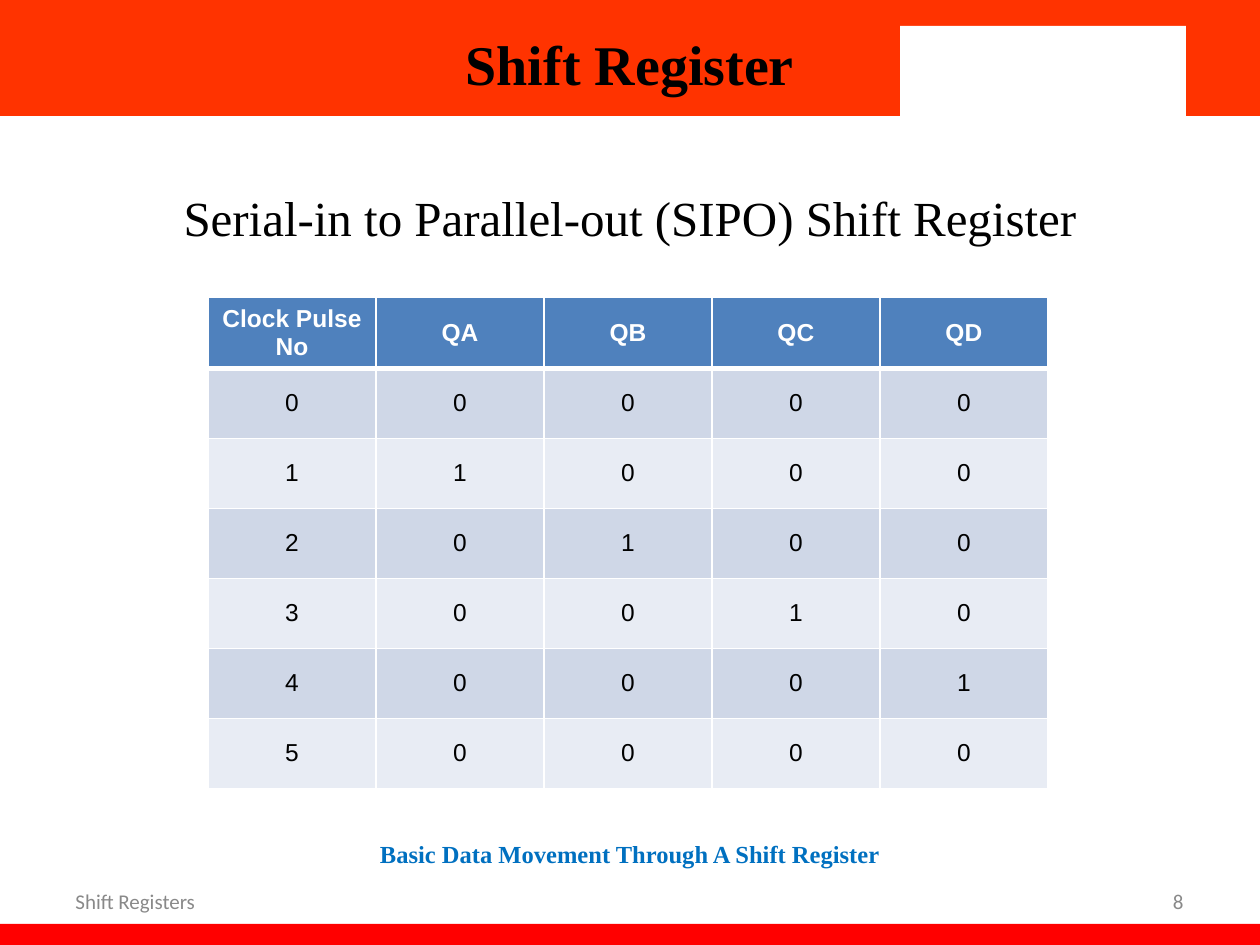
from dataclasses import dataclass

from lxml import etree
from pptx import Presentation
from pptx.dml.color import RGBColor
from pptx.enum.shapes import MSO_SHAPE
from pptx.enum.text import MSO_ANCHOR, PP_ALIGN
from pptx.oxml.ns import qn
from pptx.util import Emu, Pt

RECT = MSO_SHAPE.RECTANGLE
TOP, MID = MSO_ANCHOR.TOP, MSO_ANCHOR.MIDDLE
LEFT, MID_COL, RIGHT = PP_ALIGN.LEFT, PP_ALIGN.CENTER, PP_ALIGN.RIGHT
SCALE = 914400 / 126
WIDTH, HEIGHT = 1260, 945


@dataclass(frozen=True)
class Theme:
    band: str = "FF3300"
    base: str = "FF0000"
    white: str = "FFFFFF"
    ink: str = "000000"
    grey: str = "898989"
    blue: str = "0070C0"
    head: str = "4F81BD"
    odd: str = "CFD7E7"
    even: str = "E8ECF4"
    serif: str = "Times New Roman"
    sans: str = "Arial"
    foot: str = "Calibri"
    title: int = 32
    lead: int = 28
    body: int = 14
    small: int = 12


def px(num):
    return Emu(round(num * SCALE))


def write(frame, text, *, font, size, color, bold=False, align=MID_COL, space=None):
    para = frame.paragraphs[0]
    para.alignment = align
    para.line_spacing = space
    run = para.add_run()
    run.text = text
    run.font.name = font
    run.font.size = Pt(size)
    run.font.bold = bold
    run.font.color.rgb = RGBColor.from_string(color)


class Deck:
    def __init__(self, theme):
        self.theme = theme
        self.show = Presentation()
        self.show.slide_width, self.show.slide_height = px(WIDTH), px(HEIGHT)
        self.slide = self.show.slides.add_slide(self.show.slide_layouts[6])

    def rect(self, box, color):
        shape = self.slide.shapes.add_shape(RECT, *map(px, box))
        shape.shadow.inherit = False
        shape.fill.solid()
        shape.fill.fore_color.rgb = RGBColor.from_string(color)
        shape.line.fill.background()

    def text(self, box, text, anchor=TOP, **style):
        frame = self.slide.shapes.add_textbox(*map(px, box)).text_frame
        frame.word_wrap = True
        frame.vertical_anchor = anchor
        write(frame, text, **style)

    def edge(self, cell, side, width):
        props = cell._tc.get_or_add_tcPr()
        line = etree.SubElement(props, qn(f"a:ln{side}"), w=str(Pt(width)))
        fill = etree.SubElement(line, qn("a:solidFill"))
        etree.SubElement(fill, qn("a:srgbClr"), val=self.theme.white)

    def table(self, left, top, wide, high, rows):
        look = self.theme
        count = len(rows[0])
        box = (left, top, wide * count, high * len(rows))
        grid = self.slide.shapes.add_table(len(rows), count, *map(px, box)).table
        for col in grid.columns:
            col.width = px(wide)
        for r, row in enumerate(rows):
            grid.rows[r].height = px(high)
            fill = look.head if r == 0 else look.odd if r % 2 else look.even
            for c, value in enumerate(row):
                cell = grid.cell(r, c)
                cell.vertical_anchor = MID
                for side in "LRTB":
                    thick = (r, side) in ((0, "B"), (1, "T"))
                    self.edge(cell, side, 3 if thick else 1)
                cell.fill.solid()
                cell.fill.fore_color.rgb = RGBColor.from_string(fill)
                write(cell.text_frame, value, font=look.sans, size=look.body,
                      color=look.ink if r else look.white, bold=r == 0)

    def save(self):
        self.show.save("out.pptx")


def main():
    look = Theme()
    deck = Deck(look)
    deck.rect((0, 0, WIDTH, 116), look.band)
    deck.rect((0, 924, WIDTH, 28), look.base)
    deck.rect((847, 0, 413, 116), look.band)
    deck.rect((900, 26, 286, 95), look.white)

    foot = dict(anchor=MID, font=look.foot, size=look.small, color=look.grey)
    deck.text((63, 876, 293, 50), "Shift Registers", align=LEFT, **foot)
    deck.text((903, 876, 293, 50), "8", align=RIGHT, **foot)

    deck.text((0, 152, WIDTH, 100), "Serial-in to Parallel-out (SIPO) Shift Register",
              anchor=MID, font=look.serif, size=look.lead, color=look.ink, space=1.5)
    deck.text((0, 23, WIDTH, 81), "Shift Register",
              font=look.serif, size=look.title, color=look.ink, bold=True)
    deck.text((315, 833, 630, 43), "Basic Data Movement Through A Shift Register",
              font=look.serif, size=look.body, color=look.blue, bold=True)

    names = ["Clock Pulse No", "QA", "QB", "QC", "QD"]
    pulses = [[str(n)] + [str(int(n == bit)) for bit in range(1, 5)]
              for n in range(6)]
    deck.table(208, 297, 168, 70, [names] + pulses)
    deck.save()


if __name__ == "__main__":
    main()
